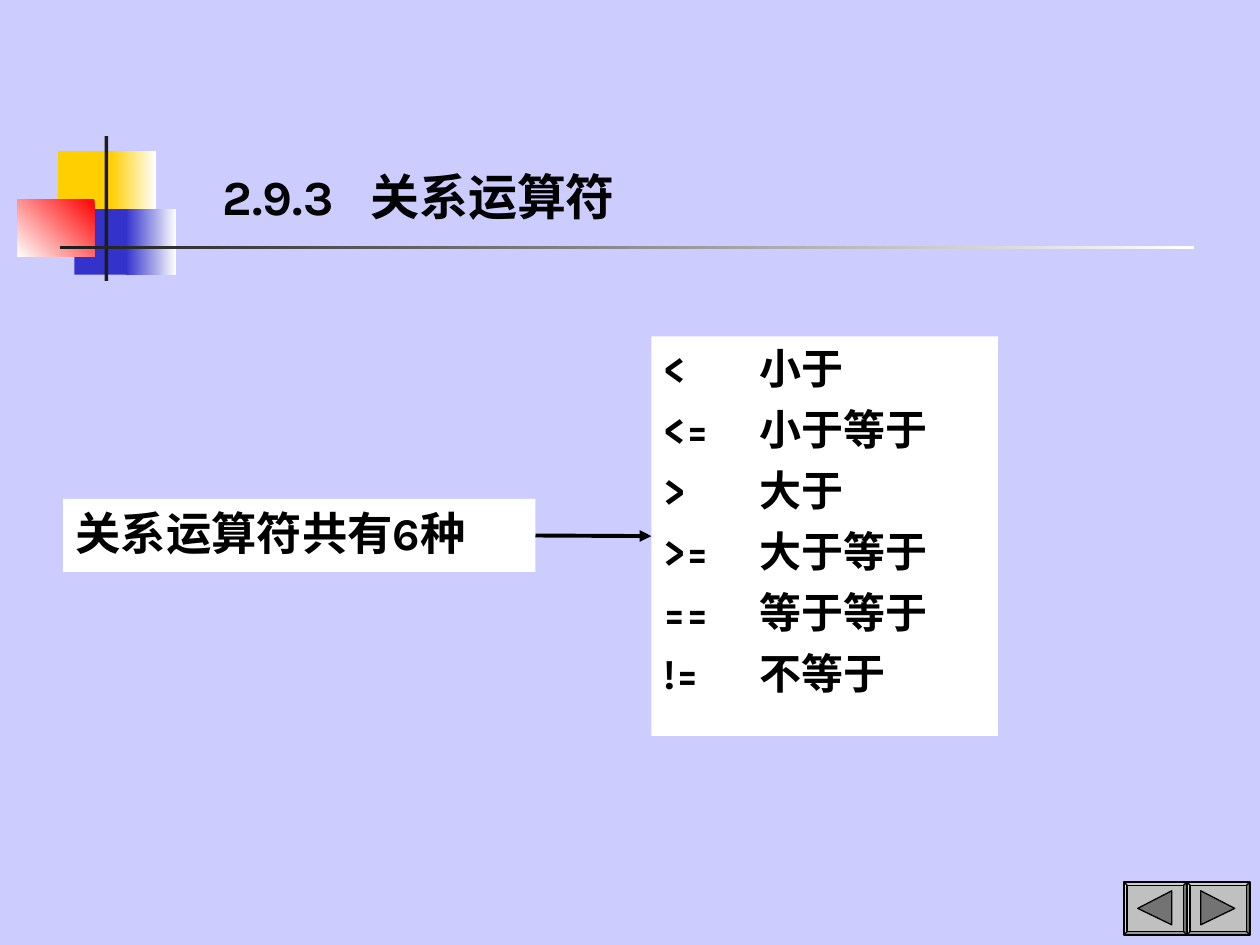
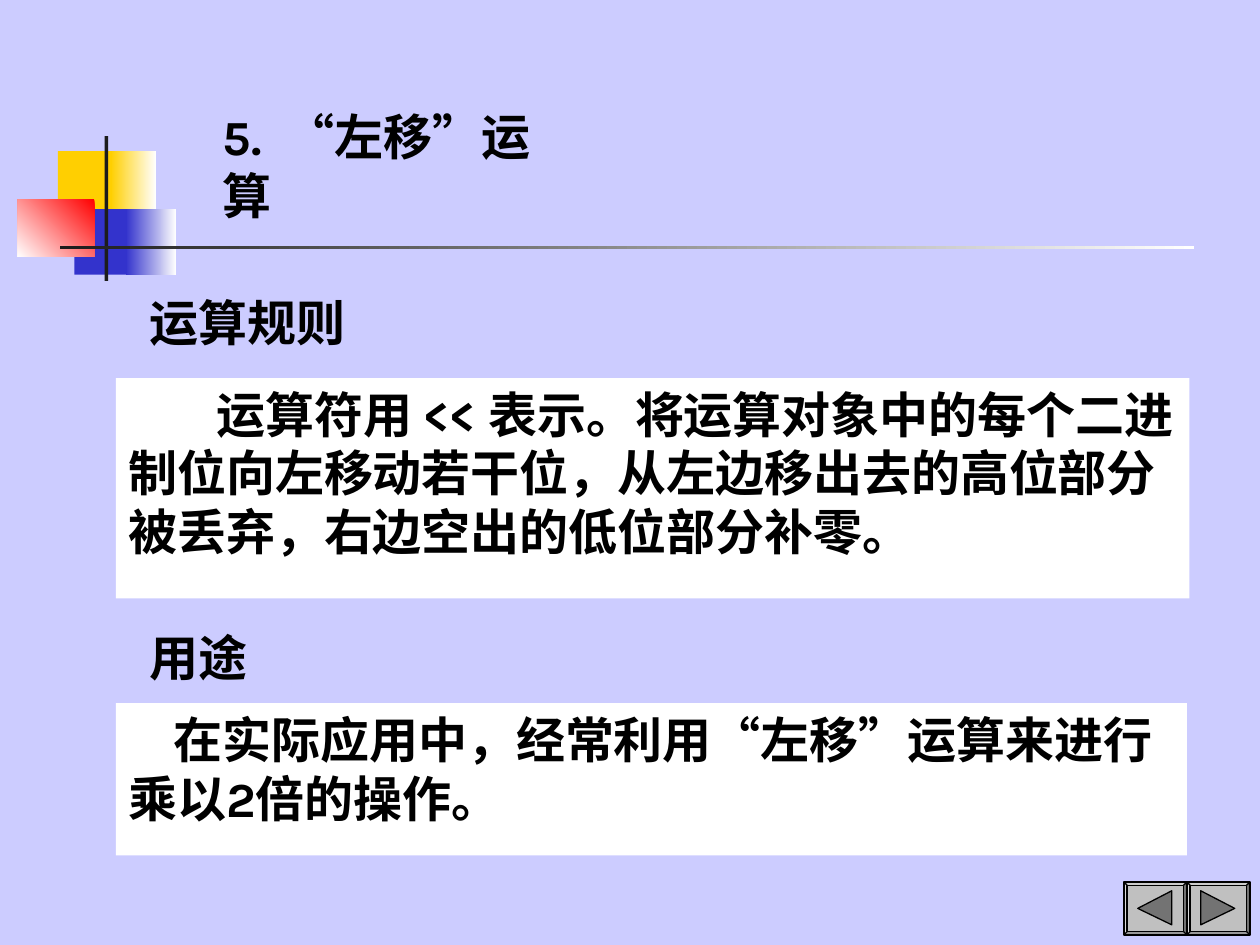
from lxml import etree
from pptx import Presentation
from pptx.dml.color import RGBColor
from pptx.enum import shapes as sh, text as tx
from pptx.oxml.ns import qn
from pptx.util import Inches, Pt

BACK = RGBColor(0xCC, 0xCC, 0xFF)
WHITE = RGBColor(0xFF, 0xFF, 0xFF)
BLACK = RGBColor(0, 0, 0)
GOLD = RGBColor(0xFF, 0xCF, 0x01)
BLUE = RGBColor(0x33, 0x33, 0xCC)
RED = RGBColor(0xFF, 0, 0)
INK = RGBColor(0x1C, 0x1C, 0x1C)
GREY = RGBColor(0xC0, 0xC0, 0xC0)
DARK = RGBColor(0x73, 0x73, 0x73)
KARLA, NOTO, TIMES = "Karla", "Noto Sans CJK SC", "Times New Roman"

DECOR = [
    ((0.46, 1.2, 0.48, 0.52), GOLD, None, 0),
    ((0.88, 1.2, 0.36, 0.52), WHITE, GOLD, 180),
    ((0.59, 1.66, 0.46, 0.52), BLUE, None, 0),
    ((1, 1.66, 0.4, 0.52), WHITE, BLUE, 180),
    ((0.14, 1.58, 0.61, 0.46), RED, WHITE, 225),
    ((0.83, 1.08, 0.03, 1.15), INK, None, 0),
    ((0.48, 1.95, 9, 0.03), WHITE, INK, 180),
]

SIGNS = [
    ("<", "小于"),
    ("<=", "小于等于"),
    (">", "大于"),
    (">=", "大于等于"),
    ("==", "等于等于"),
    ("!=", "不等于"),
]


def add_rect(slide, area, first, last=None, angle=0):
    rect = slide.shapes.add_shape(sh.MSO_SHAPE.RECTANGLE, *map(Inches, area))
    rect.shadow.inherit = False
    rect.line.fill.background()
    if last is None:
        rect.fill.solid()
        rect.fill.fore_color.rgb = first
    else:
        rect.fill.gradient()
        rect.fill.gradient_angle = angle
        for stop, tone in zip(rect.fill.gradient_stops, (first, last)):
            stop.color.rgb = tone
    return rect


def add_para(para, runs, size, tab=None, indent=0, space=0):
    props = para._p.get_or_add_pPr()
    if indent:
        props.set("indent", str(Inches(indent)))
    if tab:
        stops = etree.SubElement(props, qn("a:tabLst"))
        etree.SubElement(stops, qn("a:tab"), pos=str(Inches(tab)), algn="l")
    para.alignment = tx.PP_ALIGN.LEFT
    para.line_spacing = Pt(size * 1.2)
    para.space_before = Pt(space)
    font = para.font
    font.size, font.bold = Pt(size), True
    font.color.rgb = BLACK
    font.name = runs[0][1]
    etree.SubElement(props.find(qn("a:defRPr")), qn("a:ea"), typeface=NOTO)
    for words, name in runs:
        run = para.add_run()
        run.text = words
        if name != font.name:
            run.font.name = name


def set_frame(shape, anchor=tx.MSO_ANCHOR.TOP, wrap=True):
    frame = shape.text_frame
    frame.word_wrap = wrap
    frame.vertical_anchor = anchor
    return frame


def add_label(slide, area, runs, anchor=tx.MSO_ANCHOR.BOTTOM, wrap=True, **look):
    box = slide.shapes.add_textbox(*map(Inches, area))
    add_para(set_frame(box, anchor, wrap).paragraphs[0], runs, 28, **look)


def add_panel(slide, area, runs, size=28, **look):
    panel = add_rect(slide, area, WHITE)
    add_para(set_frame(panel).paragraphs[0], runs, size, **look)
    return panel


def add_list(slide, area):
    panel = add_rect(slide, area, WHITE)
    frame = set_frame(panel)
    for row, (sign, sense) in enumerate(SIGNS):
        para = frame.add_paragraph() if row else frame.paragraphs[0]
        add_para(para, [(f"{sign}\t{sense}", KARLA)], 24, tab=0.76,
                 space=6 if row else 0)
    return panel


def add_arrow(slide, start, end):
    arrow = slide.shapes.add_connector(sh.MSO_CONNECTOR.STRAIGHT, 0, 0, 0, 0)
    arrow.begin_connect(start, 3)
    arrow.end_connect(end, 1)
    arrow.line.color.rgb = BLACK
    arrow.line.width = Pt(2.25)
    etree.SubElement(arrow.line._get_or_add_ln(), qn("a:tailEnd"), type="triangle")
    etree.SubElement(arrow._element.spPr, qn("a:effectLst"))


def set_edge(shape, tone):
    shape.shadow.inherit = False
    shape.fill.solid()
    shape.fill.fore_color.rgb = tone
    shape.line.color.rgb = BLACK
    shape.line.width = Pt(0.75)


def add_button(slide, left, tip, base):
    key = slide.shapes.add_shape(
        sh.MSO_SHAPE.BEVEL, Inches(left), Inches(7), Inches(0.5), Inches(0.42))
    key.adjustments[0] = 0.06
    set_edge(key, GREY)
    pen = slide.shapes.build_freeform(
        Inches(left + tip), Inches(7.21), scale=1.0)
    pen.add_line_segments(
        [(Inches(left + base), Inches(y)) for y in (7.07, 7.34)], close=True)
    set_edge(pen.convert_to_shape(), DARK)


def add_page(deck):
    slide = deck.slides.add_slide(deck.slide_layouts[6])
    slide.background.fill.solid()
    slide.background.fill.fore_color.rgb = BACK
    for area, first, last, angle in DECOR:
        add_rect(slide, area, first, last, angle)
    add_button(slide, 9.42, 0.38, 0.11)
    add_button(slide, 8.92, 0.11, 0.38)
    return slide


def add_kinds(deck):
    slide = add_page(deck)
    add_label(slide, (1.67, 1.17, 3.99, 0.67),
              [("2.9.3\t关系运算符", KARLA)], tab=1.17)
    count = add_panel(slide, (0.5, 3.96, 3.75, 0.58),
                      [("关系运算符共有6种", KARLA)], 25.9)
    kinds = add_list(slide, (5.17, 2.67, 2.75, 3.17))
    add_arrow(slide, count, kinds)


def add_shift(deck):
    slide = add_page(deck)
    add_label(slide, (1.67, 1.25, 2.92, 0.58),
              [("5.\t", KARLA), ("“左移”运算", NOTO)], tab=0.5)
    add_label(slide, (1.09, 2.27, 1.75, 0.57), [("运算规则", TIMES)],
              tx.MSO_ANCHOR.TOP, wrap=False)
    add_panel(slide, (0.92, 3, 8.52, 1.75), [
        ("运算符用 ", TIMES),
        ("<< ", KARLA),
        ("表示。将运算对象中的每个二进制位向左移动若干位，"
         "从左边移出去的高位部分被丢弃，右边空出的低位部分补零。", TIMES),
    ], indent=0.7)
    add_label(slide, (1.09, 4.92, 1.33, 0.58), [("用途", KARLA)])
    add_panel(slide, (0.92, 5.58, 8.5, 1.21), [
        ("在实际应用中，经常利用“左移”运算来进行乘以", NOTO),
        ("2", KARLA),
        ("倍的操作。", NOTO),
    ], indent=0.36)


def main():
    deck = Presentation()
    deck.slide_width, deck.slide_height = Inches(10), Inches(7.5)
    add_kinds(deck)
    add_shift(deck)
    deck.save("out.pptx")


if __name__ == "__main__":
    main()
